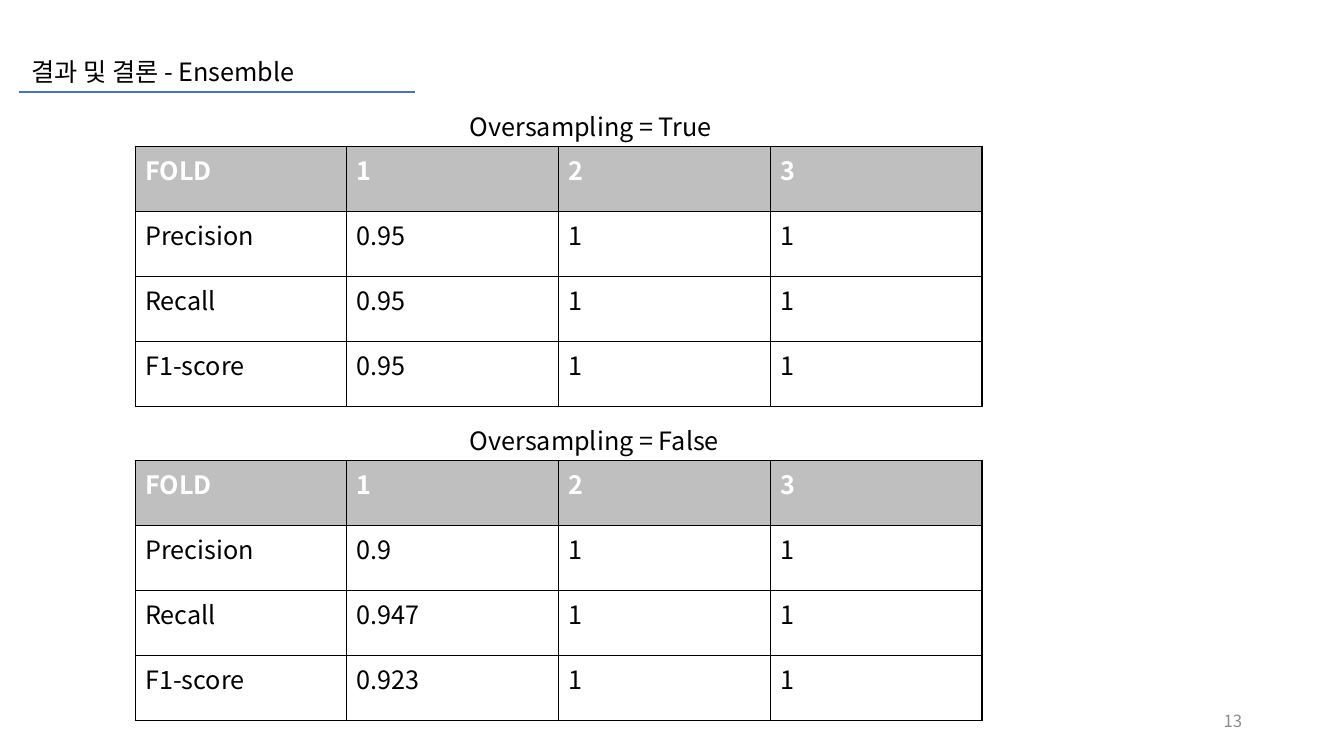
from lxml import etree
from pptx import Presentation
from pptx import util as u
from pptx.dml.color import RGBColor
from pptx.enum import shapes, text
from pptx.oxml import ns

FONT = "Noto Sans CJK KR"
BLACK = RGBColor(0x00, 0x00, 0x00)
WHITE = RGBColor(0xFF, 0xFF, 0xFF)
GREY = RGBColor(0xBF, 0xBF, 0xBF)
PAGE_GREY = RGBColor(0x8C, 0x8C, 0x8C)
BLUE = RGBColor(0x44, 0x72, 0xC4)

TABLE_LEFT, TABLE_WIDTH, TABLE_HEIGHT = 1.34, 8.4, 2.58
CAPTION_LEFT, CAPTION_RISE = 4.56, 0.4
HEADER = ["FOLD", "1", "2", "3"]
RESULTS = [
    ("Oversampling = True", 1.45, ["0.95", "0.95", "0.95"]),
    ("Oversampling = False", 4.57, ["0.9", "0.947", "0.923"]),
]
METRICS = ["Precision", "Recall", "F1-score"]


def write(frame, words, size=18, color=BLACK, bold=False,
          align=text.PP_ALIGN.LEFT):
    """Put one formatted run into a text frame."""
    para = frame.paragraphs[0]
    para.alignment = align
    para.line_spacing = 1.0
    para.space_before = u.Pt(0)
    span = para.add_run()
    span.text = words
    span.font.name = FONT
    span.font.size = u.Pt(size)
    span.font.bold = bold
    span.font.color.rgb = color
    east_asian = etree.SubElement(span.font._element, ns.qn("a:ea"))
    east_asian.set("typeface", FONT)


def add_title(page, words):
    """Move the title placeholder into place and fill it."""
    box = page.shapes.title
    box.left, box.top = u.Inches(0.21), u.Inches(0.51)
    box.width, box.height = u.Inches(3.65), u.Inches(0.4)
    frame = box.text_frame
    frame.auto_size = text.MSO_AUTO_SIZE.NONE
    frame.vertical_anchor = text.MSO_ANCHOR.TOP
    write(frame, words)


def add_label(page, words, left, top, width, **style):
    """Add a one-line text box."""
    box = page.shapes.add_textbox(u.Inches(left), u.Inches(top),
                                  u.Inches(width), u.Inches(0.4))
    box.text_frame.word_wrap = True
    box.text_frame.vertical_anchor = text.MSO_ANCHOR.MIDDLE
    write(box.text_frame, words, **style)


def add_rule(page, left, right, top):
    """Add the blue line below the title."""
    line = page.shapes.add_connector(
        shapes.MSO_CONNECTOR.STRAIGHT, u.Inches(left), u.Inches(top),
        u.Inches(right), u.Inches(top))
    line.line.color.rgb = BLUE
    line.line.width = u.Pt(1.5)
    etree.SubElement(line._element.spPr, ns.qn("a:effectLst"))


def add_borders(cell):
    """Draw a thin black line on each side of a cell."""
    properties = cell._tc.get_or_add_tcPr()
    for side in ("lnL", "lnR", "lnT", "lnB"):
        edge = etree.SubElement(properties, ns.qn("a:" + side),
                                w=str(u.Pt(1)))
        fill = etree.SubElement(edge, ns.qn("a:solidFill"))
        etree.SubElement(fill, ns.qn("a:srgbClr"), val=str(BLACK))


def add_score_table(page, rows, top):
    """Add a bordered table with a grey header row."""
    table = page.shapes.add_table(
        len(rows), len(rows[0]), u.Inches(TABLE_LEFT), u.Inches(top),
        u.Inches(TABLE_WIDTH), u.Inches(TABLE_HEIGHT)).table
    table.horz_banding = False
    for row_index, row in enumerate(rows):
        is_header = row_index == 0
        for column_index, words in enumerate(row):
            cell = table.cell(row_index, column_index)
            add_borders(cell)
            if is_header:
                cell.fill.solid()
                cell.fill.fore_color.rgb = GREY
            else:
                cell.fill.background()
            write(cell.text_frame, words, bold=is_header,
                  color=WHITE if is_header else BLACK)


def main():
    """Build the ensemble results slide."""
    deck = Presentation()
    deck.slide_width, deck.slide_height = u.Inches(13.33), u.Inches(7.5)
    page = deck.slides.add_slide(deck.slide_layouts[5])
    add_title(page, "결과 및 결론 - Ensemble")
    add_rule(page, 0.19, 4.12, 0.91)
    for caption, top, first_fold in RESULTS:
        rows = [HEADER] + [[metric, score, "1", "1"]
                           for metric, score in zip(METRICS, first_fold)]
        add_score_table(page, rows, top)
        add_label(page, caption, CAPTION_LEFT, top - CAPTION_RISE, 2.78)
    add_label(page, "13", 9.42, 6.95, 3, size=12, color=PAGE_GREY,
              align=text.PP_ALIGN.RIGHT)
    deck.save("out.pptx")


main()
